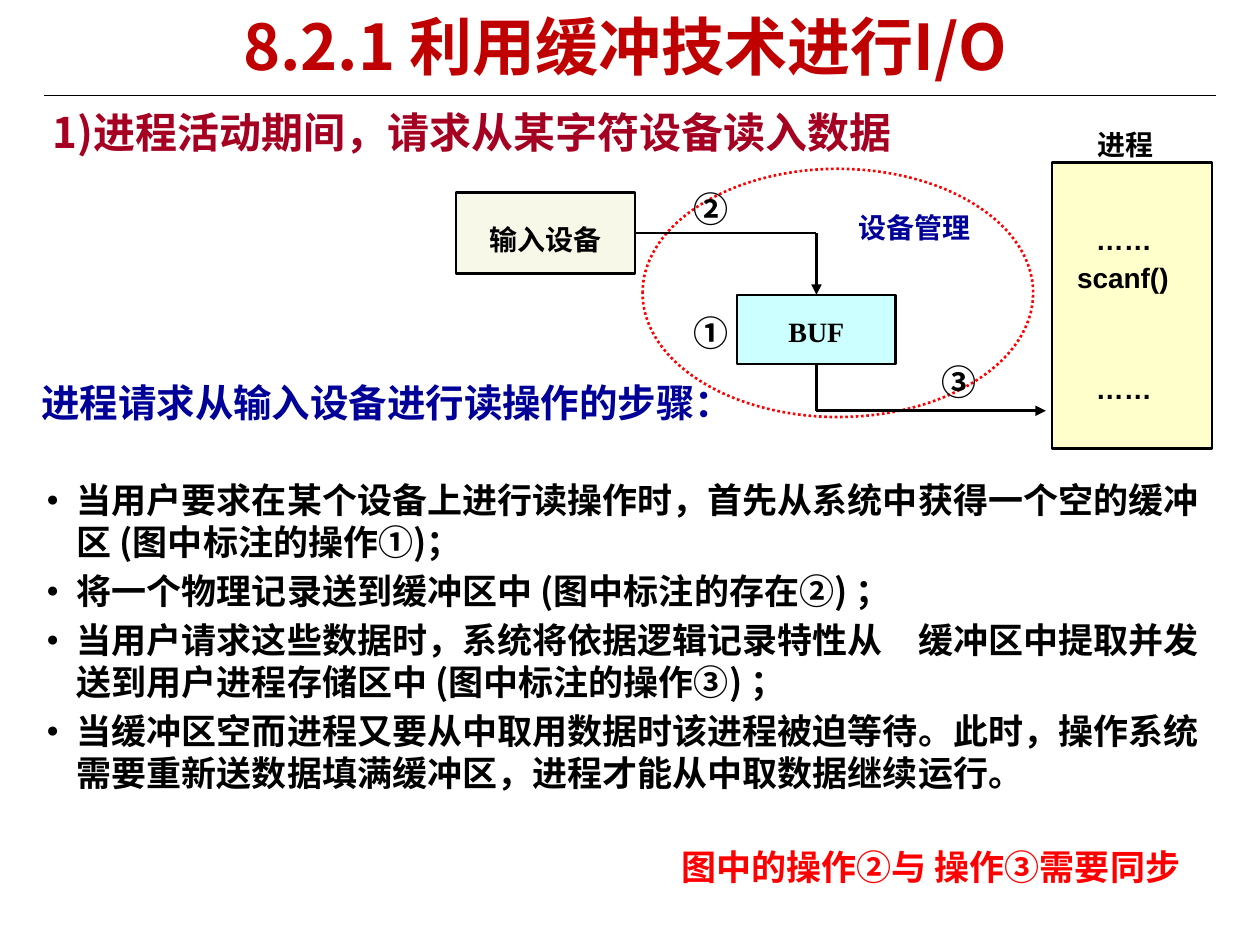
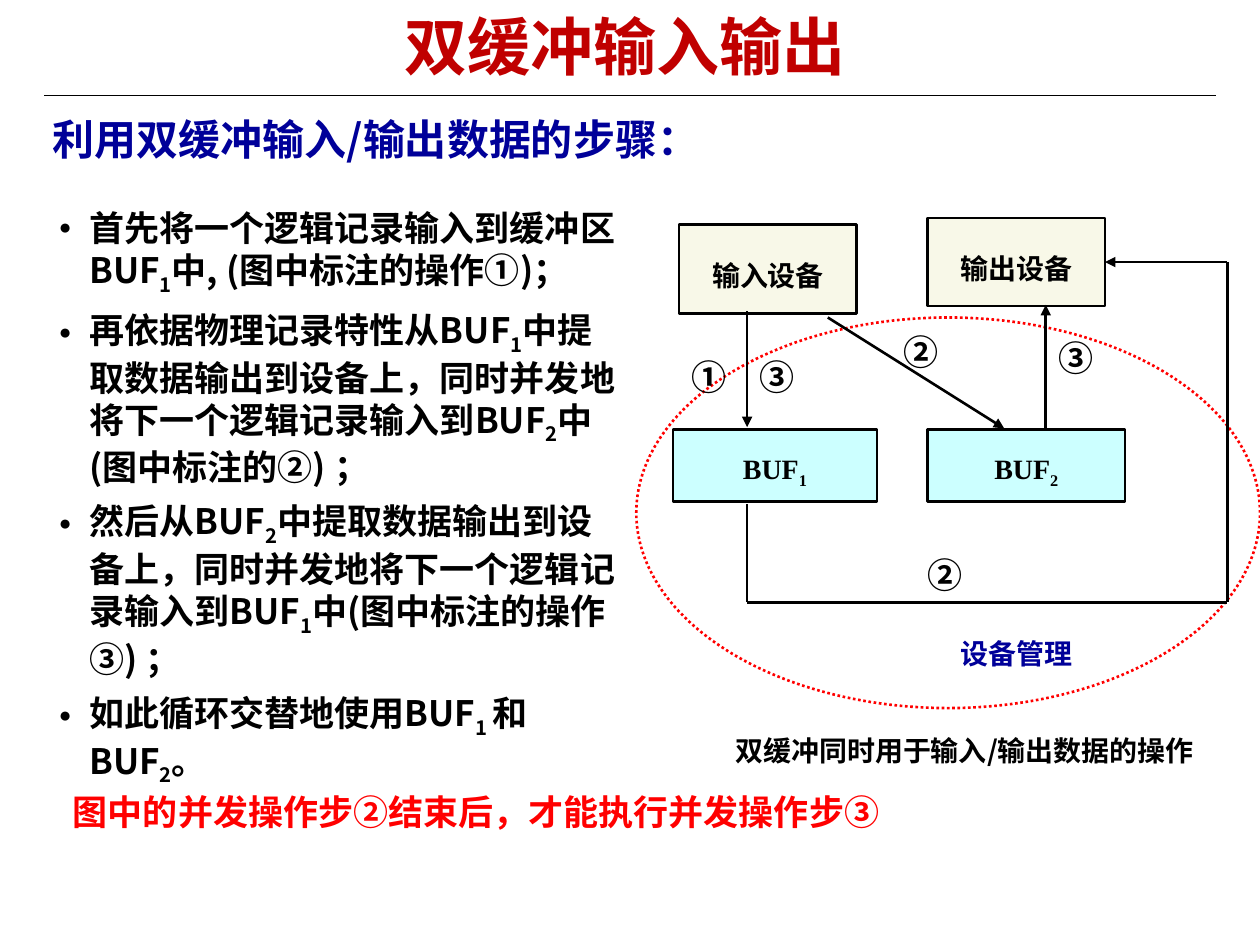
"""Build two slides on single and double buffered I/O."""
from itertools import pairwise

from lxml.etree import SubElement
from pptx import Presentation
from pptx.dml.color import RGBColor
from pptx.enum.dml import MSO_LINE
from pptx.enum.shapes import MSO_CONNECTOR, MSO_SHAPE
from pptx.enum.text import MSO_ANCHOR, PP_ALIGN
from pptx.oxml.ns import qn
from pptx.util import Inches, Pt

SANS, LATIN, SERIF = "Noto Sans CJK SC", "Arial", "Times New Roman"
BLACK, NAVY, RED, CRIMSON, TITLE_RED = "000000", "000099", "FF0000", "A50021", "C00000"
DEVICE, BUFFER, PROCESS = "F8F8E8", "CCFFFF", "FFFFCC"
CENTER, LEFT = PP_ALIGN.CENTER, PP_ALIGN.LEFT
BODY = dict(size=20, bullet=("a:buChar", {"char": "●"}))
DIAGRAM = dict(size=16, align=CENTER, spacing=1.4, before=20, after=16)
MIDDLE = dict(DIAGRAM, anchor=MSO_ANCHOR.MIDDLE)
NOTE = dict(size=20, color=RED, spacing=0.9, before=2.5)


def put(slide, lines, at, size, color=BLACK, font=SANS, align=LEFT, spacing=1.0,
        before=0, after=0, anchor=MSO_ANCHOR.TOP, bullet=None, fill=None):
    """Add a text box, or a filled rectangle; pieces between bars are subscripts."""
    box = [Inches(n) for n in at]
    if fill:
        holder = slide.shapes.add_shape(MSO_SHAPE.RECTANGLE, *box)
        holder.shadow.inherit = False
        holder.fill.solid()
        holder.fill.fore_color.rgb = RGBColor.from_string(fill)
        holder.line.color.rgb = RGBColor.from_string(BLACK)
        holder.line.width = Pt(1.5)
    else:
        holder = slide.shapes.add_textbox(*box)
    frame = holder.text_frame
    frame.word_wrap = True
    frame.vertical_anchor = anchor
    for index, line in enumerate([lines] if isinstance(lines, str) else lines):
        paragraph = frame.add_paragraph() if index else frame.paragraphs[0]
        paragraph.alignment = align
        paragraph.line_spacing = spacing
        paragraph.space_before, paragraph.space_after = Pt(before), Pt(after)
        if bullet:
            tag, settings = bullet
            properties = paragraph._p.get_or_add_pPr()
            if tag == "a:buChar":
                properties.set("marL", str(Inches(0.24)))
                properties.set("indent", str(-Inches(0.24)))
            tint = SubElement(properties, qn("a:buClr"))
            SubElement(tint, qn("a:srgbClr"), val=color)
            if tag == "a:buChar":
                SubElement(properties, qn("a:buSzPct"), val="60000")
                SubElement(properties, qn("a:buFont"), typeface=LATIN)
            SubElement(properties, qn(tag), settings)
        paragraph.font.size = Pt(size)
        paragraph.font.bold = True
        paragraph.font.name = font
        paragraph.font.color.rgb = RGBColor.from_string(color)
        defaults = paragraph._p.pPr.find(qn("a:defRPr"))
        SubElement(defaults, qn("a:ea"), typeface=font)
        for position, piece in enumerate(line.split("|")):
            if piece:
                run = paragraph.add_run()
                run.text = piece
                if position % 2:
                    run._r.get_or_add_rPr().set("baseline", "-25000")
    return holder


def link(slide, start, end, arrow=False, width=1.5):
    """Add a straight black line, with an arrowhead at its end if asked."""
    line = slide.shapes.add_connector(
        MSO_CONNECTOR.STRAIGHT, *[Inches(n) for n in (*start, *end)])
    line.line.color.rgb = RGBColor.from_string(BLACK)
    line.line.width = Pt(width)
    if arrow:
        SubElement(line.line._get_or_add_ln(), qn("a:tailEnd"), type="triangle")
    SubElement(line._element.spPr, qn("a:effectLst"))
    return line


deck = Presentation()
deck.slide_width, deck.slide_height = Inches(10), Inches(7.5)
single, double = [deck.slides.add_slide(deck.slide_layouts[6]) for _ in range(2)]

for slide, title, scope in [
    (single, "8.2.1 利用缓冲技术进行I/O", (5.1, 1.34, 3.1, 1.97)),
    (double, "双缓冲输入输出", (5.05, 2.52, 4.95, 3.1)),
]:
    link(slide, (0.35, 0.76), (9.65, 0.76), width=0.75)
    put(slide, title, (0.37, 0.08, 9.18, 0.64), 36, TITLE_RED, align=CENTER,
        spacing=0.9, before=5, after=3)
    management = slide.shapes.add_shape(MSO_SHAPE.OVAL, *[Inches(n) for n in scope])
    management.shadow.inherit = False
    management.fill.background()
    management.line.color.rgb = RGBColor.from_string(RED)
    management.line.width = Pt(1.5)
    management.line.dash_style = MSO_LINE.ROUND_DOT

put(single, "进程活动期间，请求从某字符设备读入数据", (0.32, 0.8, 9.1, 0.5), 24, CRIMSON,
    before=5, bullet=("a:buAutoNum", {"type": "arabicParenR"}))
put(single, "进程请求从输入设备进行读操作的步骤：", (0.23, 2.96, 5.71, 0.47), 22, NAVY, before=4)
put(single, [
    "当用户要求在某个设备上进行读操作时，首先从系统中获得一个空的缓冲区 (图中标注的操作①)；",
    "将一个物理记录送到缓冲区中 (图中标注的存在②) ；",
    "当用户请求这些数据时，系统将依据逻辑记录特性从　缓冲区中提取并发送到用户进程存储区中 (图中标注的操作③) ；",
    "当缓冲区空而进程又要从中取用数据时该进程被迫等待。此时，操作系统需要重新送数据填满缓冲区，进程才能从中取数据继续运行。",
], (0.27, 3.75, 9.45, 2.6), before=4, **BODY)
put(single, "图中的操作②与 操作③需要同步", (5.31, 6.7, 4.47, 0.51), **NOTE)

source = put(single, "输入设备", (3.62, 1.53, 1.42, 0.64), fill=DEVICE, **MIDDLE)
buffer = put(single, "BUF", (5.85, 2.34, 1.26, 0.55), font=SERIF, fill=BUFFER, **DIAGRAM)
put(single, "", (8.35, 1.29, 1.27, 2.27), fill=PROCESS, **DIAGRAM)
put(single, "进程", (8.3, 0.94, 1.27, 0.3), **MIDDLE)
put(single, "设备管理", (6.67, 1.58, 1.18, 0.34), color=NAVY, **MIDDLE)
for code, at in [("……", (8.6, 1.68, 0.67, 0.34)), ("scanf()", (8.45, 1.98, 1.08, 0.34)),
                 ("……", (8.6, 2.81, 0.67, 0.44))]:
    put(single, code, at, font=LATIN, **dict(MIDDLE, align=LEFT))
link(single, (5.04, 1.85), (6.48, 1.85)).begin_connect(source, 3)
link(single, (6.48, 1.85), (6.48, 2.34), arrow=True).end_connect(buffer, 0)
link(single, (6.48, 2.89), (6.48, 3.26)).begin_connect(buffer, 2)
link(single, (6.48, 3.26), (8.3, 3.26), arrow=True)

put(double, "利用双缓冲输入/输出数据的步骤：", (0.32, 0.85, 6.25, 0.5), 24, NAVY, before=9)
put(double, [
    "首先将一个逻辑记录输入到缓冲区BUF|1|中, (图中标注的操作①)；",
    "再依据物理记录特性从BUF|1|中提取数据输出到设备上，同时并发地将下一个逻辑记录输入到BUF|2|中(图中标注的②) ；",
    "然后从BUF|2|中提取数据输出到设备上，同时并发地将下一个逻辑记录输入到BUF|1|中(图中标注的操作③) ；",
    "如此循环交替地使用BUF|1 |和BUF|2|。",
], (0.37, 1.59, 4.63, 4.71), before=6.8, **BODY)
put(double, "双缓冲同时用于输入/输出数据的操作", (5.74, 5.77, 3.91, 0.64), 16, before=6)
put(double, "图中的并发操作步②结束后，才能执行并发操作步③", (0.48, 6.26, 6.68, 0.51), **NOTE)

put(double, "输入设备", (5.39, 1.78, 1.41, 0.71), fill=DEVICE, **MIDDLE)
output = put(double, "输出设备", (7.36, 1.73, 1.41, 0.7), fill=DEVICE, **MIDDLE)
put(double, "BUF|1", (5.34, 3.41, 1.62, 0.57), font=SERIF, fill=BUFFER, **DIAGRAM)
put(double, "BUF|2", (7.36, 3.41, 1.57, 0.57), font=SERIF, fill=BUFFER, **DIAGRAM)
put(double, "设备管理", (7.12, 4.86, 1.89, 0.54), color=NAVY, **MIDDLE)
for start, end in [((5.93, 2.47), (5.93, 3.39)), ((6.57, 2.52), (7.97, 3.4)),
                   ((8.3, 3.42), (8.3, 2.42))]:
    link(double, start, end, arrow=True)
for start, end in pairwise([(5.93, 4), (5.93, 4.78), (9.74, 4.78), (9.74, 2.08)]):
    link(double, start, end)
link(double, (9.74, 2.08), (8.77, 2.08), arrow=True).end_connect(output, 3)

for slide, step, left, top in [
    (single, "①", 5.34, 2.42), (single, "②", 5.34, 1.44), (single, "③", 7.31, 2.81),
    (double, "①", 5.33, 2.77), (double, "③", 5.87, 2.77), (double, "②", 7.01, 2.57),
    (double, "③", 8.24, 2.62), (double, "②", 7.2, 4.34),
]:
    put(slide, step, (left, top, 0.6, 0.44), 20, align=CENTER, before=12.5)

deck.save("out.pptx")
